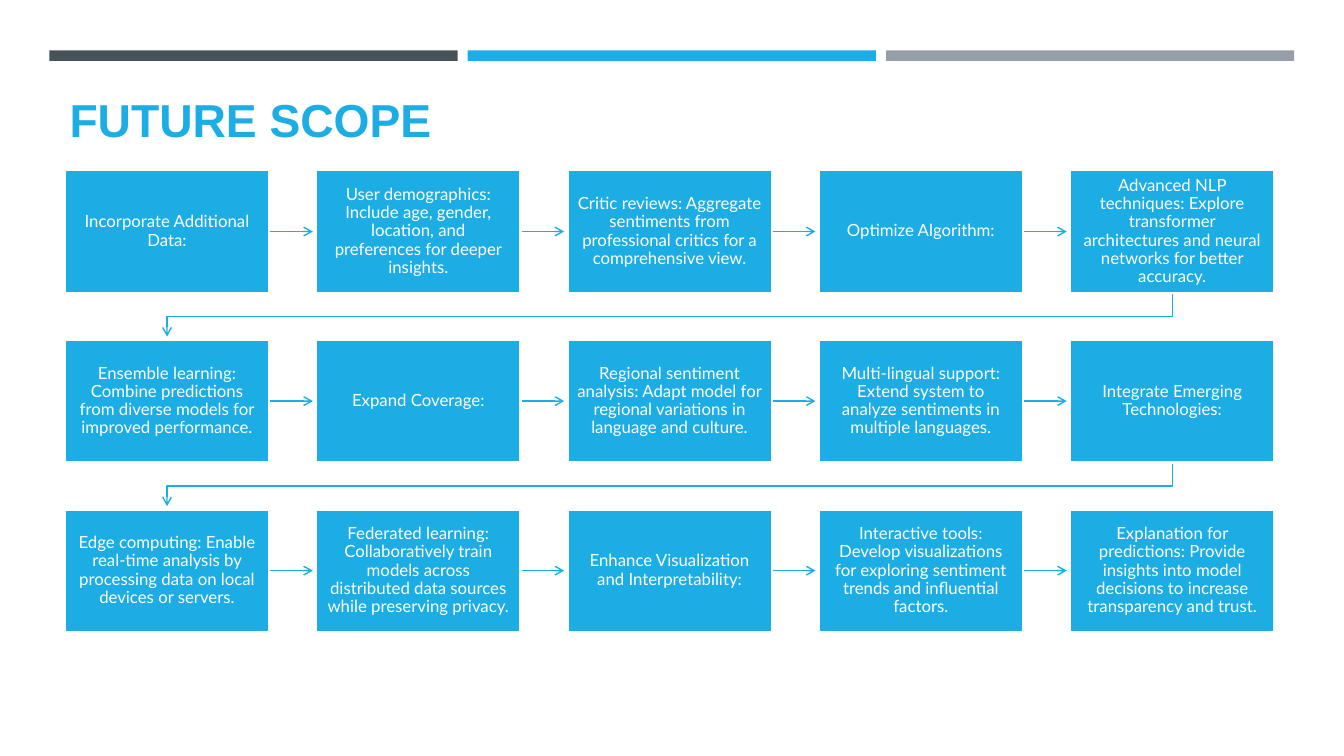
from dataclasses import dataclass

from lxml.etree import SubElement
from pptx import Presentation
from pptx.dml.color import RGBColor
from pptx.enum.shapes import MSO_CONNECTOR as Connector, MSO_SHAPE as Shape
from pptx.enum.text import MSO_ANCHOR as Anchor, MSO_AUTO_SIZE as AutoSize, PP_ALIGN as Align
from pptx.oxml.ns import qn
from pptx.util import Pt


@dataclass(frozen=True)
class Theme:
    accent: RGBColor = RGBColor(0x1C, 0xAD, 0xE4)
    slate: RGBColor = RGBColor(0x46, 0x53, 0x59)
    silver: RGBColor = RGBColor(0x96, 0x9F, 0xA7)
    white: RGBColor = RGBColor(0xFF, 0xFF, 0xFF)
    title_font: str = "Arial"
    card_font: str = "Lato"
    title_size: float = 33
    card_size: float = 12
    flow_width: float = 1
    border_width: float = 1.75


def format_with(target, formats):
    for name, value in formats.items():
        setattr(target, name, value)


class FlowSlide:
    def __init__(self, deck, theme):
        self.theme = theme
        self.slide = deck.slides.add_slide(deck.slide_layouts[5])
        self.shapes = self.slide.shapes

    def label(self, shape, text, frame, paragraph, font, color):
        format_with(shape.text_frame, {"word_wrap": True, "auto_size": AutoSize.NONE, **frame})
        line = shape.text_frame.paragraphs[0]
        format_with(line, paragraph)
        run = line.add_run()
        run.text = text
        format_with(run.font, font)
        run.font.color.rgb = color

    def title(self, text, left, top, width, height):
        heading = self.shapes.title
        format_with(heading, {"left": Pt(left), "top": Pt(top), "width": Pt(width), "height": Pt(height)})
        self.label(
            heading, text,
            {"vertical_anchor": Anchor.BOTTOM},
            {"alignment": Align.LEFT, "line_spacing": 0.8},
            {"name": self.theme.title_font, "size": Pt(self.theme.title_size), "bold": True},
            self.theme.accent,
        )

    def block(self, left, top, width, height, color):
        block = self.shapes.add_shape(Shape.RECTANGLE, Pt(left), Pt(top), Pt(width), Pt(height))
        block.shadow.inherit = False
        block.fill.solid()
        block.fill.fore_color.rgb = color
        block.line.fill.background()
        return block

    def card(self, text, left, top, width, height):
        card = self.block(left, top, width, height, self.theme.accent)
        card.line.color.rgb = self.theme.white
        card.line.width = Pt(self.theme.border_width)
        inset = Pt(7)
        self.label(
            card, text,
            {"vertical_anchor": Anchor.MIDDLE, "margin_left": inset, "margin_right": inset,
             "margin_top": inset, "margin_bottom": inset},
            {"alignment": Align.CENTER, "line_spacing": 0.9, "space_after": Pt(4.2)},
            {"name": self.theme.card_font, "size": Pt(self.theme.card_size)},
            self.theme.white,
        )
        return card

    def flow_line(self, shape):
        shape.line.color.rgb = self.theme.accent
        shape.line.width = Pt(self.theme.flow_width)
        SubElement(shape.element.spPr.find(qn("a:ln")), qn("a:tailEnd"), type="arrow")

    def arrow(self, left, y, right):
        arrow = self.shapes.add_connector(Connector.STRAIGHT, Pt(left), Pt(y), Pt(right), Pt(y))
        self.flow_line(arrow)
        SubElement(arrow.element.spPr, qn("a:effectLst"))
        return arrow

    def row_return(self, points):
        start, *turns = [(Pt(x), Pt(y)) for x, y in points]
        outline = self.shapes.build_freeform(*start)
        outline.add_line_segments(turns, close=False)
        route = outline.convert_to_shape()
        route.shadow.inherit = False
        route.fill.background()
        self.flow_line(route)


STEPS = [
    [
        "Incorporate Additional Data:",
        "User demographics: Include age, gender, location, and preferences for deeper insights.",
        "Critic reviews: Aggregate sentiments from professional critics for a comprehensive view.",
        "Optimize Algorithm:",
        "Advanced NLP techniques: Explore transformer architectures and neural networks for better accuracy.",
    ],
    [
        "Ensemble learning: Combine predictions from diverse models for improved performance.",
        "Expand Coverage:",
        "Regional sentiment analysis: Adapt model for regional variations in language and culture.",
        "Multi-lingual support: Extend system to analyze sentiments in multiple languages.",
        "Integrate Emerging Technologies:",
    ],
    [
        "Edge computing: Enable real-time analysis by processing data on local devices or servers.",
        "Federated learning: Collaboratively train models across distributed data sources "
        "while preserving privacy.",
        "Enhance Visualization and Interpretability:",
        "Interactive tools: Develop visualizations for exploring sentiment trends and influential factors.",
        "Explanation for predictions: Provide insights into model decisions to increase "
        "transparency and trust.",
    ],
]
GRID_LEFT, GRID_TOP = 46.3, 121.6
CARD_WIDTH, CARD_HEIGHT = 146, 87.6
COLUMN_STEP, ROW_STEP = 179.5, 121.1
ARROW_LENGTH = 31.2
RETURN_TURN, RETURN_DROP = 17, 31.2
RIGHT_SIDE = 3


def main():
    deck = Presentation()
    format_with(deck, {"slide_width": Pt(960), "slide_height": Pt(540)})
    theme = Theme()
    page = FlowSlide(deck, theme)

    for column, color in enumerate((theme.slate, theme.accent, theme.silver)):
        page.block(35.3 + column * 298.8, 36, 291.6, 7.5, color)
    page.title("FUTURE SCOPE", 42.5, 66.2, 868.3, 41.8)

    for row, steps in enumerate(STEPS):
        top = GRID_TOP + row * ROW_STEP
        bottom = top + CARD_HEIGHT
        for column, text in enumerate(steps):
            left = GRID_LEFT + column * COLUMN_STEP
            right = left + CARD_WIDTH
            arrow = None
            if column < len(steps) - 1:
                arrow = page.arrow(right, top + CARD_HEIGHT / 2, right + ARROW_LENGTH)
            elif row < len(STEPS) - 1:
                start_x = left + CARD_WIDTH / 2
                end_x = GRID_LEFT + CARD_WIDTH / 2
                turn_y = bottom + RETURN_TURN
                page.row_return([
                    (start_x, bottom), (start_x, turn_y),
                    (end_x, turn_y), (end_x, bottom + RETURN_DROP),
                ])
            card = page.card(text, left, top, CARD_WIDTH, CARD_HEIGHT)
            if arrow:
                arrow.begin_connect(card, RIGHT_SIDE)

    deck.save("out.pptx")


if __name__ == "__main__":
    main()
